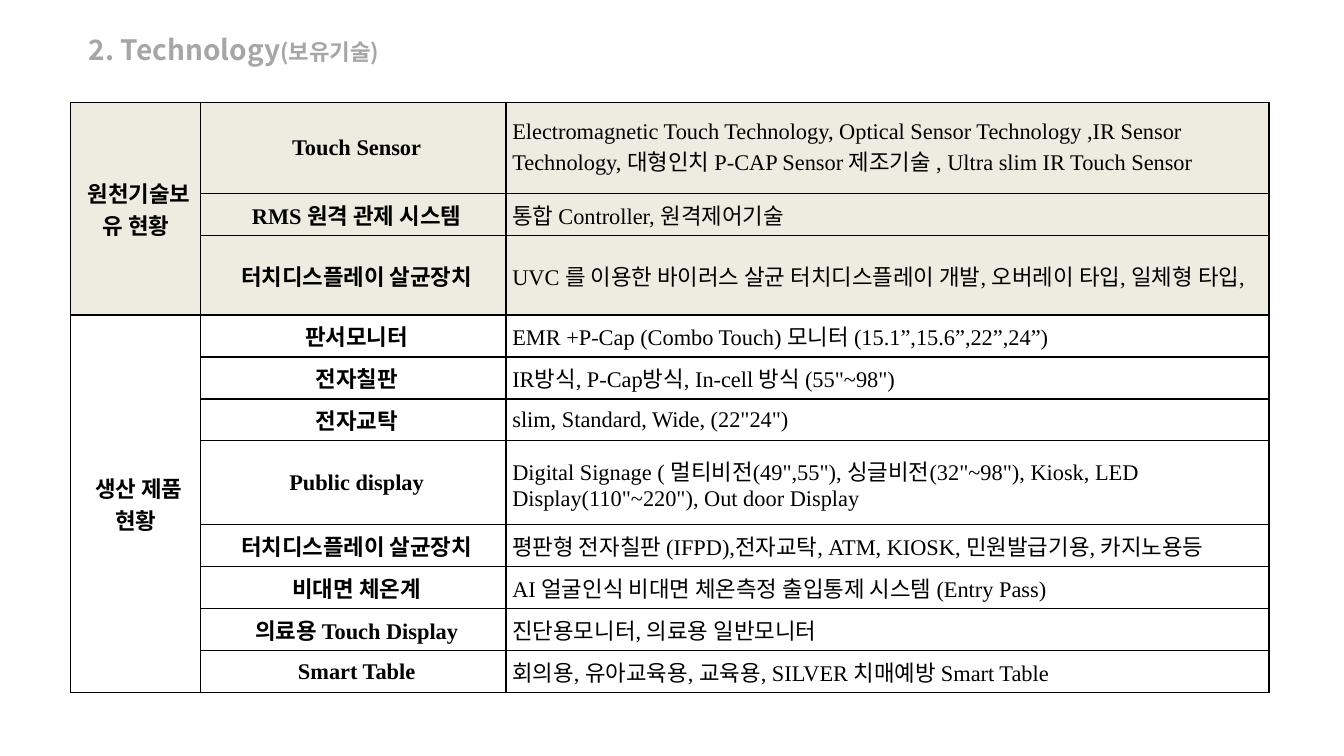
from lxml import etree
from pptx import Presentation
from pptx.dml.color import RGBColor
from pptx.enum import shapes, text
from pptx.oxml import ns
from pptx.util import Pt

COLORS = {"title": "A6A6A6", "text": "000000", "border": "000000",
          "core": "EEECE1", "product": "FFFFFF"}
HANGUL_FONT = "Noto Sans CJK KR"
TABLE_FONT = "Times New Roman"


def style_run(run, latin_font, size, color, bold):
    run.font.name = latin_font
    run.font.size = Pt(size)
    run.font.bold = bold
    run.font.color.rgb = RGBColor.from_string(COLORS[color])
    east_asian = etree.SubElement(run.font._element, ns.qn("a:ea"))
    east_asian.set("typeface", HANGUL_FONT)


def add_borders(cell):
    properties = cell._tc.get_or_add_tcPr()
    for position, side in enumerate(("lnL", "lnR", "lnT", "lnB")):
        line = etree.Element(ns.qn(f"a:{side}"), w=str(Pt(1)))
        fill = etree.SubElement(line, ns.qn("a:solidFill"))
        etree.SubElement(fill, ns.qn("a:srgbClr"), val=COLORS["border"])
        properties.insert(position, line)


presentation = Presentation()
presentation.slide_width = Pt(960)
presentation.slide_height = Pt(540)
slide = presentation.slides.add_slide(presentation.slide_layouts[6])

# Title
title = slide.shapes.add_shape(shapes.MSO_SHAPE.RECTANGLE,
                               Pt(63.5), Pt(20), Pt(287), Pt(30))
title.shadow.inherit = False
title.fill.solid()
title.fill.fore_color.rgb = RGBColor.from_string("FFFFFF")
title.line.fill.background()
frame = title.text_frame
frame.margin_left = frame.margin_right = frame.margin_top = frame.margin_bottom = 0
frame.vertical_anchor = text.MSO_ANCHOR.MIDDLE
paragraph = frame.paragraphs[0]
paragraph.alignment = text.PP_ALIGN.LEFT
for words, size in (("2. Technology", 20), ("(보유기술)", 16)):
    run = paragraph.add_run()
    run.text = words
    style_run(run, HANGUL_FONT, size, "title", True)

# Table content: group, fill, and (item, description, row height)
GROUPS = [
    ("원천기술보유 현황", "core", [
        ("Touch Sensor",
         "Electromagnetic Touch Technology, Optical Sensor Technology ,IR Sensor "
         "Technology, 대형인치 P-CAP Sensor 제조기술 , Ultra slim IR Touch Sensor", 65.5),
        ("RMS 원격 관제 시스템", "통합 Controller, 원격제어기술", 30),
        ("터치디스플레이 살균장치",
         "UVC 를 이용한 바이러스 살균 터치디스플레이 개발, 오버레이 타입, 일체형 타입,", 56.5),
    ]),
    ("생산 제품 현황", "product", [
        ("판서모니터", "EMR +P-Cap (Combo Touch) 모니터 (15.1”,15.6”,22”,24”)", 30),
        ("전자칠판", 'IR방식, P-Cap방식, In-cell 방식 (55"~98")', 30),
        ("전자교탁", 'slim, Standard, Wide, (22"24")', 30),
        ("Public display",
         'Digital Signage ( 멀티비전(49",55"), 싱글비전(32"~98"), Kiosk, LED '
         'Display(110"~220"), Out door Display', 60),
        ("터치디스플레이 살균장치",
         "평판형 전자칠판 (IFPD),전자교탁, ATM, KIOSK, 민원발급기용, 카지노용등", 30),
        ("비대면 체온계", "AI 얼굴인식 비대면 체온측정 출입통제 시스템 (Entry Pass)", 30),
        ("의료용 Touch Display", "진단용모니터, 의료용 일반모니터", 30),
        ("Smart Table", "회의용, 유아교육용, 교육용, SILVER 치매예방 Smart Table", 30),
    ]),
]
COLUMN_WIDTHS = (93, 218, 545)

# Table grid
row_heights = [height for _, _, items in GROUPS for _, _, height in items]
table = slide.shapes.add_table(len(row_heights), len(COLUMN_WIDTHS), Pt(50.5), Pt(73),
                               Pt(sum(COLUMN_WIDTHS)), Pt(sum(row_heights))).table
table.first_row = False
table.horz_banding = False
for column, width in zip(table.columns, COLUMN_WIDTHS):
    column.width = Pt(width)
for row, height in zip(table.rows, row_heights):
    row.height = Pt(height)

# Table cells
first = 0
for group, fill, items in GROUPS:
    last = first + len(items) - 1
    for index, (item, description, _) in enumerate(items):
        label = group if index == 0 else ""
        for column, words in enumerate((label, item, description)):
            cell = table.cell(first + index, column)
            cell.fill.solid()
            cell.fill.fore_color.rgb = RGBColor.from_string(COLORS[fill])
            add_borders(cell)
            cell.margin_left = cell.margin_right = Pt(4.5)
            cell.margin_top = cell.margin_bottom = 0
            cell.vertical_anchor = text.MSO_ANCHOR.MIDDLE
            paragraph = cell.text_frame.paragraphs[0]
            paragraph.text = words
            is_heading = column < 2
            if is_heading:
                paragraph.alignment = text.PP_ALIGN.CENTER
                paragraph._p.get_or_add_pPr().set("indent", str(Pt(4.5)))
            for run in paragraph.runs:
                style_run(run, TABLE_FONT, 16, "text", is_heading)
    table.cell(first, 0).merge(table.cell(last, 0))
    first = last + 1

presentation.save("out.pptx")
